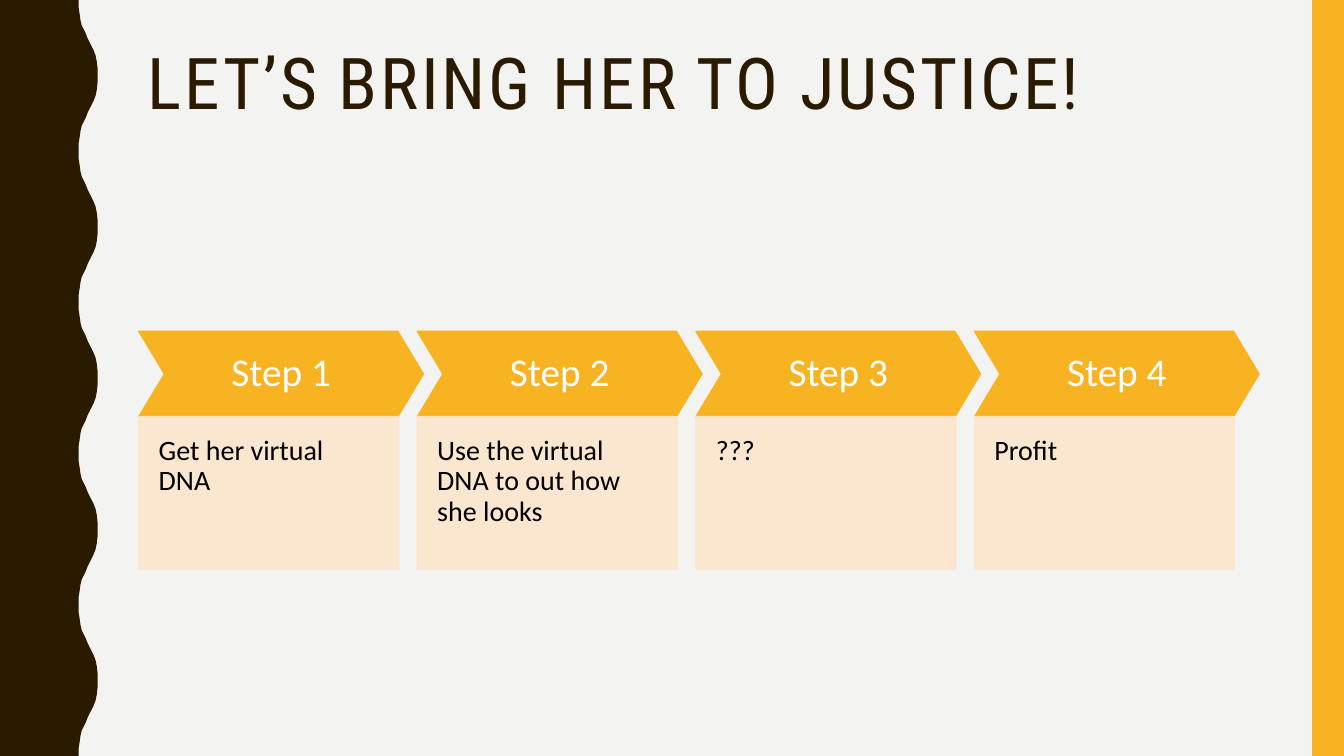
from lxml.etree import SubElement
from pptx import Presentation
from pptx.dml.color import RGBColor
from pptx.enum.shapes import MSO_SHAPE
from pptx.enum.text import MSO_ANCHOR, PP_ALIGN
from pptx.oxml.ns import qn
from pptx.util import Cm, Pt

PAPER = RGBColor(0xF3, 0xF3, 0xF2)
BROWN = RGBColor(0x2A, 0x1A, 0x00)
AMBER = RGBColor(0xF8, 0xB3, 0x23)
PEACH = RGBColor(0xFC, 0xE5, 0xCD)
WHITE = RGBColor(0xFF, 0xFF, 0xFF)
BLACK = RGBColor(0x00, 0x00, 0x00)

PAGE_WIDTH, PAGE_HEIGHT = 33.87, 19.05
WAVE_COUNT = 5
WAVE_LENGTH = PAGE_HEIGHT / WAVE_COUNT
# Half a wave, from trough to just before the crest, in cm
WAVE_RISE = [
    (1.98, 0), (1.98, 0.18), (2.01, 0.36), (2.03, 0.51), (2.06, 0.64),
    (2.11, 0.74), (2.16, 0.84), (2.21, 0.97), (2.26, 1.07), (2.31, 1.17),
    (2.36, 1.27), (2.41, 1.4), (2.44, 1.55), (2.46, 1.73),
]
WAVE_CREST = (2.46, WAVE_LENGTH / 2)

STEPS = [
    "Get her virtual DNA",
    "Use the virtual DNA to out how she looks",
    "???",
    "Profit",
]
STEP_LEFT, STEP_PITCH = 3.5, 7.02
CHEVRON_TOP, CHEVRON_WIDTH, CHEVRON_HEIGHT = 8.35, 7.17, 2.15
DETAIL_WIDTH, DETAIL_HEIGHT = 6.55, 3.84


class SlideWriter:
    """Holds the fonts and the current slide; lengths are in cm."""

    title_font = "Roboto Condensed"
    body_font = "Calibri"

    def __init__(self, page):
        self.page = page
        background = page.background.fill
        background.solid()
        background.fore_color.rgb = PAPER

    def paint(self, shape, color, outlined=False, opacity=100):
        shape.shadow.inherit = False
        shape.fill.solid()
        shape.fill.fore_color.rgb = color
        if outlined:
            shape.line.color.rgb = color
            shape.line.width = Pt(1)
        else:
            shape.line.fill.background()
        if opacity < 100:
            for fill in shape._element.spPr.iter(qn("a:srgbClr")):
                SubElement(fill, qn("a:alpha")).set("val", str(opacity * 1000))

    def shape(self, kind, left, top, width, height, color, **style):
        shape = self.page.shapes.add_shape(
            kind, Cm(left), Cm(top), Cm(width), Cm(height))
        self.paint(shape, color, **style)
        return shape

    def wavy_band(self, color):
        """Fill the left edge of the slide with a band that has a wavy side."""
        fall = [(x, WAVE_LENGTH - y) for x, y in reversed(WAVE_RISE[1:])]
        wave = WAVE_RISE + [WAVE_CREST] + fall
        edge = [(x, y + index * WAVE_LENGTH)
                for index in range(WAVE_COUNT) for x, y in wave]
        edge += [(WAVE_RISE[0][0], PAGE_HEIGHT), (0, PAGE_HEIGHT)]
        builder = self.page.shapes.build_freeform(0, 0)
        builder.add_line_segments([(Cm(x), Cm(y)) for x, y in edge])
        self.paint(builder.convert_to_shape(), color)

    def text(self, shape, wording, font, size, color, insets,
             align=PP_ALIGN.LEFT, anchor=MSO_ANCHOR.TOP, tracking=0):
        """Write one paragraph; insets run left, top, right, bottom."""
        frame = shape.text_frame
        frame.text = wording
        frame.word_wrap = True
        frame.vertical_anchor = anchor
        (frame.margin_left, frame.margin_top,
         frame.margin_right, frame.margin_bottom) = map(Cm, insets)
        para = frame.paragraphs[0]
        para.alignment = align
        para.line_spacing = 0.9
        span = para.runs[0]
        span.font.name = font
        span.font.size = Pt(size)
        span.font.color.rgb = color
        if tracking:
            span._r.get_or_add_rPr().set("spc", str(tracking * 100))

    def title(self, wording):
        box = self.page.shapes.add_textbox(
            Cm(3.48), Cm(1.07), Cm(28.27), Cm(4.14))
        self.text(box, wording, self.title_font, 51, BROWN,
                  (0.25, 0.13, 0.25, 0.13), tracking=2)

    def step(self, left, heading, detail):
        chevron = self.shape(MSO_SHAPE.CHEVRON, left, CHEVRON_TOP,
                             CHEVRON_WIDTH, CHEVRON_HEIGHT, AMBER, outlined=True)
        chevron.adjustments[0] = 0.3
        self.text(chevron, heading, self.body_font, 28, WHITE, [0.25] * 4,
                  PP_ALIGN.CENTER, MSO_ANCHOR.MIDDLE)
        box = self.shape(MSO_SHAPE.RECTANGLE, left, CHEVRON_TOP + CHEVRON_HEIGHT,
                         DETAIL_WIDTH, DETAIL_HEIGHT, PEACH,
                         outlined=True, opacity=90)
        self.text(box, detail, self.body_font, 20, BLACK, (0.5, 0.5, 0.5, 1.04))


def main():
    deck = Presentation()
    deck.slide_width = Cm(PAGE_WIDTH)
    deck.slide_height = Cm(PAGE_HEIGHT)
    writer = SlideWriter(deck.slides.add_slide(deck.slide_layouts[6]))
    writer.wavy_band(BROWN)
    writer.shape(MSO_SHAPE.RECTANGLE, 33.07, 0, 0.8, PAGE_HEIGHT, AMBER)
    writer.title("LET’S BRING HER TO JUSTICE!")
    for index, detail in enumerate(STEPS):
        writer.step(STEP_LEFT + index * STEP_PITCH, f"Step {index + 1}", detail)
    deck.save("out.pptx")


if __name__ == "__main__":
    main()
